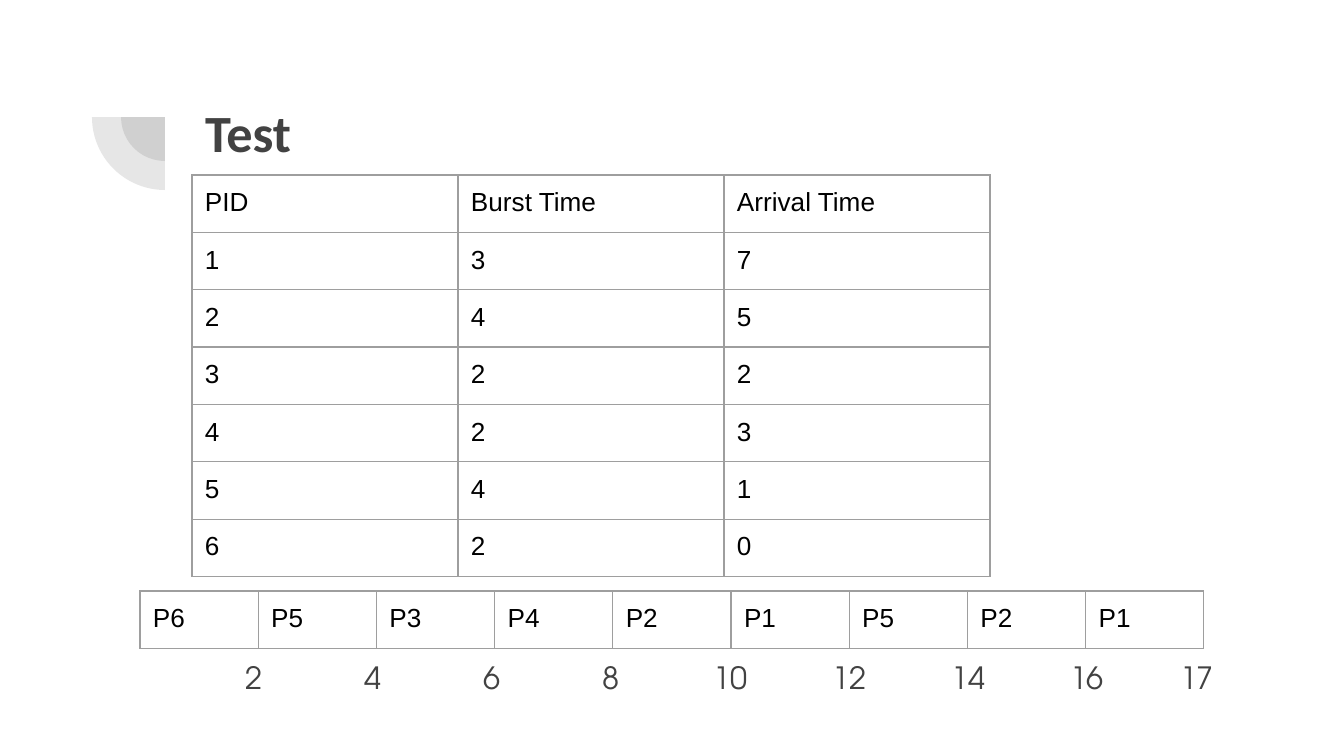
from lxml.etree import SubElement
from pptx import Presentation
from pptx.dml.color import RGBColor
from pptx.enum.shapes import MSO_SHAPE
from pptx.oxml.ns import qn
from pptx.util import Pt

SCALE = 914400 / 134.4
PAD = 13
HUES = {"dark": "424242", "text": "000000", "line": "9E9E9E"}
TIMES = [
    ["PID", "Burst Time", "Arrival Time"],
    ["1", "3", "7"],
    ["2", "4", "5"],
    ["3", "2", "2"],
    ["4", "2", "3"],
    ["5", "4", "1"],
    ["6", "2", "0"],
]
ORDER = [["P6", "P5", "P3", "P4", "P2", "P1", "P5", "P2", "P1"]]
TICKS = ["2", "4", "6", "8", "10", "12", "14", "16", "17"]


def px(*vals):
    return [round(v * SCALE) for v in vals]


def tint(hue):
    return RGBColor.from_string(HUES[hue])


def add_run(para, text, size, face, hue, bold=False):
    run = para.add_run()
    run.text = text
    font = run.font
    font.size, font.name, font.bold = Pt(size), face, bold
    font.color.rgb = tint(hue)


def set_pad(part):
    part.margin_left, part.margin_right, part.margin_top, part.margin_bottom = px(PAD) * 4


def add_text(slide, box):
    frame = slide.shapes.add_textbox(*px(*box)).text_frame
    frame.word_wrap = True
    set_pad(frame)
    return frame.paragraphs[0]


def add_badge(slide, box):
    left, top, side, _ = box
    for size in (88, side):
        gap = (side - size) / 2
        pie = slide.shapes.add_shape(MSO_SHAPE.PIE, *px(left + gap, top + gap, size, size))
        pie.shadow.inherit = False
        pie.rotation = 270
        pie.adjustments[0], pie.adjustments[1] = 108, 162
        pie.line.fill.background()
        pie.fill.solid()
        pie.fill.fore_color.rgb = tint("dark")
        color = pie.fill._xPr.find(qn("a:solidFill"))[0]
        SubElement(color, qn("a:alpha"), val="13000")


def add_title(slide, box):
    add_run(add_text(slide, box), "Test", 28, "Calibri", "dark", True)


def add_ticks(slide, box, first, step, last):
    para = add_text(slide, box)
    para.line_spacing = 0.95
    para.space_after = Pt(12)
    tabs = SubElement(para._p.get_or_add_pPr(), qn("a:tabLst"))
    for i, tick in enumerate(TICKS):
        stop = min(first + i * step, last)
        SubElement(tabs, qn("a:tab"), pos=str(px(stop)[0]), algn="ctr")
        add_run(para, "\t" + tick, 16.4, "TeX Gyre Adventor", "dark")


def add_edges(cell):
    props = cell._tc.get_or_add_tcPr()
    for side in ("lnL", "lnR", "lnT", "lnB"):
        edge = SubElement(props, qn("a:" + side), w=str(Pt(0.75)))
        fill = SubElement(edge, qn("a:solidFill"))
        SubElement(fill, qn("a:srgbClr"), val=HUES["line"])


def add_grid(slide, box, data):
    table = slide.shapes.add_table(len(data), len(data[0]), *px(*box)).table
    table.first_row = table.horz_banding = False
    for row, texts in zip(table.rows, data):
        for cell, text in zip(row.cells, texts):
            add_edges(cell)
            cell.fill.background()
            set_pad(cell)
            add_run(cell.text_frame.paragraphs[0], text, 14, "Arial", "text")


def main():
    deck = Presentation()
    deck.slide_width, deck.slide_height = px(1344, 756)
    slide = deck.slides.add_slide(deck.slide_layouts[6])
    add_badge(slide, (92, 44, 146, 146))
    add_title(slide, (192, 87, 1034, 146))
    add_ticks(slide, (140, 649, 1107, 85), 101, 119, 1044)
    add_grid(slide, (140, 591, 1064, 56), ORDER)
    add_grid(slide, (192, 175, 798, 393), TIMES)
    deck.save("out.pptx")


if __name__ == "__main__":
    main()
